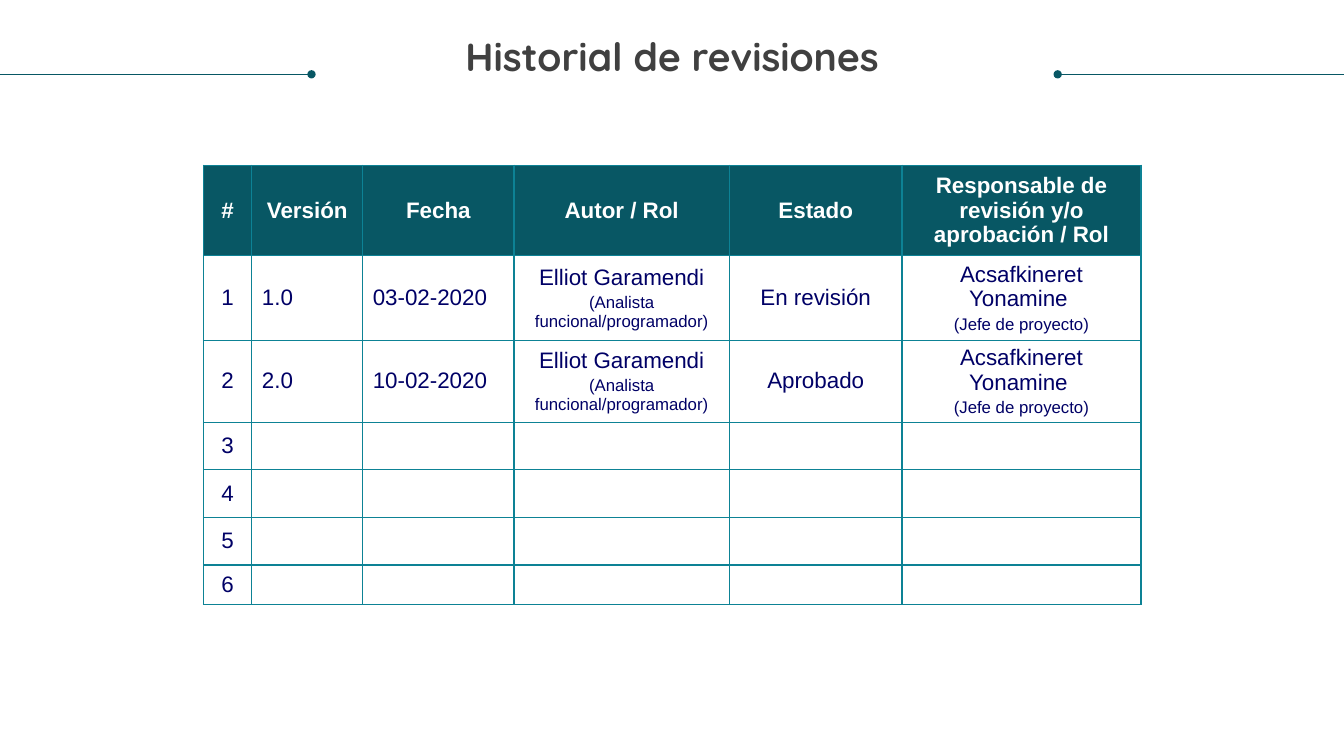
from pptx import Presentation
from pptx.util import Pt
from pptx.dml.color import RGBColor as Rgb
from pptx.enum.shapes import MSO_CONNECTOR as Link
from pptx.enum.text import PP_ALIGN as Align, MSO_ANCHOR as Anchor, MSO_AUTO_SIZE as Fit
from pptx.oxml.ns import qn
from lxml.etree import SubElement as Sub

title = "Historial de revisiones"
heads = ["#", "Versión", "Fecha", "Autor / Rol", "Estado",
         "Responsable de revisión y/o aprobación / Rol"]
author = ("Elliot Garamendi", "(Analista funcional/programador)")
chief = ("Acsafkineret Yonamine ", "(Jefe de proyecto)")
body = [
    ["1", "1.0", "03-02-2020", author, "En revisión", chief],
    ["2", "2.0", "10-02-2020", author, "Aprobado", chief],
] + [[str(n)] + [""] * 5 for n in range(3, 7)]

theme = {
    "dark": "085764", "edge": "0D8295", "ink": "000066",
    "white": "FFFFFF", "gray": "404040",
    "font": "Arial", "display": "Quicksand",
    "title": 28, "text": 16, "note": 12,
}
wide, high = 960, 540
left, top = 145.4, 118
cols = [34.5, 79.2, 108, 154, 123.2, 170.8]
rows = [64.5, 60.5, 58.5, 34, 34, 34, 28.2]
rule_y, rule_len = 53.1, 222.5


def add_run(para, text, size, color, font, bold=False):
    run = para.add_run()
    run.text = text
    run.font.size = Pt(size)
    run.font.name = font
    run.font.bold = bold
    run.font.color.rgb = Rgb.from_string(color)


def add_edges(cell):
    props = cell._tc.get_or_add_tcPr()
    for at, side in enumerate(("lnL", "lnR", "lnT", "lnB")):
        line = props.makeelement(qn("a:" + side), {"w": str(Pt(1))})
        fill = Sub(line, qn("a:solidFill"))
        Sub(fill, qn("a:srgbClr"), val=theme["edge"])
        props.insert(at, line)


def fill_cell(cell, value, head, center):
    if head:
        cell.fill.solid()
        cell.fill.fore_color.rgb = Rgb.from_string(theme["dark"])
    else:
        cell.fill.background()
    add_edges(cell)
    cell.vertical_anchor = Anchor.MIDDLE
    cell.margin_left = cell.margin_right = Pt(7.2)
    cell.margin_top = cell.margin_bottom = Pt(3.6)
    frame = cell.text_frame
    if not value:
        end = frame.paragraphs[0]._p.get_or_add_endParaRPr()
        end.set("sz", str(theme["text"] * 100))
        return
    parts = value if isinstance(value, tuple) else (value,)
    for n, part in enumerate(parts):
        para = frame.add_paragraph() if n else frame.paragraphs[0]
        para.alignment = Align.CENTER if center else Align.LEFT
        if n:
            para.space_before = Pt(2.4)
        add_run(para, part, theme["note" if n else "text"],
                theme["white" if head else "ink"], theme["font"], head)


def add_rule(slide, start, stop):
    rule = slide.shapes.add_connector(
        Link.STRAIGHT, Pt(start), Pt(rule_y), Pt(stop), Pt(rule_y))
    rule.line.width = Pt(0.5)
    rule.line.color.rgb = Rgb.from_string(theme["dark"])
    Sub(rule.line._get_or_add_ln(), qn("a:tailEnd"), type="oval")
    Sub(rule._element.spPr, qn("a:effectLst"))


def add_title(slide):
    box = slide.shapes.add_textbox(Pt(18), Pt(26.6), Pt(wide - 36), Pt(30.2))
    frame = box.text_frame
    frame.word_wrap = True
    frame.auto_size = Fit.SHAPE_TO_FIT_TEXT
    frame.margin_left = frame.margin_right = 0
    frame.margin_top = frame.margin_bottom = 0
    para = frame.paragraphs[0]
    para.alignment = Align.CENTER
    para.line_spacing = 0.9
    add_run(para, title, theme["title"], theme["gray"], theme["display"], True)


def add_grid(slide):
    grid = slide.shapes.add_table(
        len(rows), len(cols), Pt(left), Pt(top), Pt(sum(cols)), Pt(sum(rows))).table
    grid.horz_banding = False
    for col, size in zip(grid.columns, cols):
        col.width = Pt(size)
    for row, size in zip(grid.rows, rows):
        row.height = Pt(size)
    for r, line in enumerate([heads] + body):
        for c, value in enumerate(line):
            fill_cell(grid.cell(r, c), value, r == 0, r == 0 or c not in (1, 2))


def main():
    deck = Presentation()
    deck.slide_width, deck.slide_height = Pt(wide), Pt(high)
    slide = deck.slides.add_slide(deck.slide_layouts[6])
    add_grid(slide)
    add_rule(slide, wide, wide - rule_len + 18)
    add_title(slide)
    add_rule(slide, 0, rule_len)
    deck.save("out.pptx")


if __name__ == "__main__":
    main()
